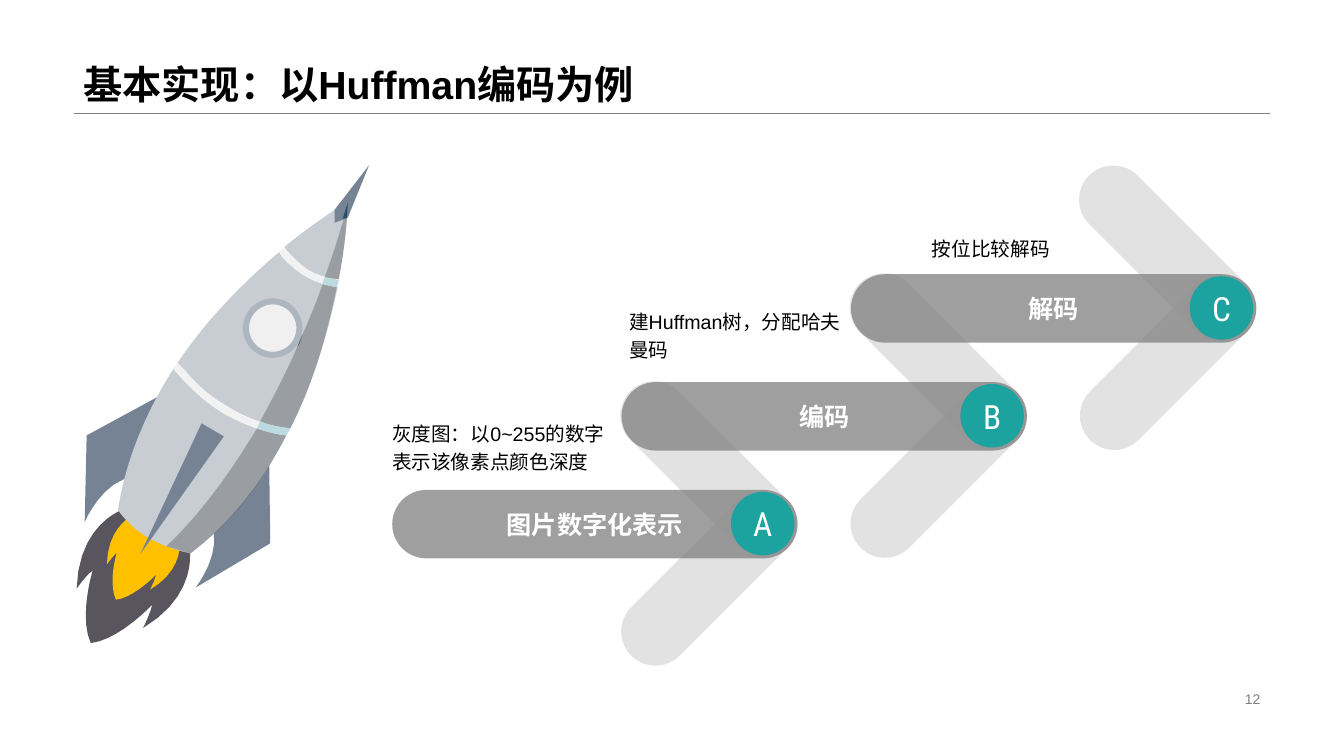
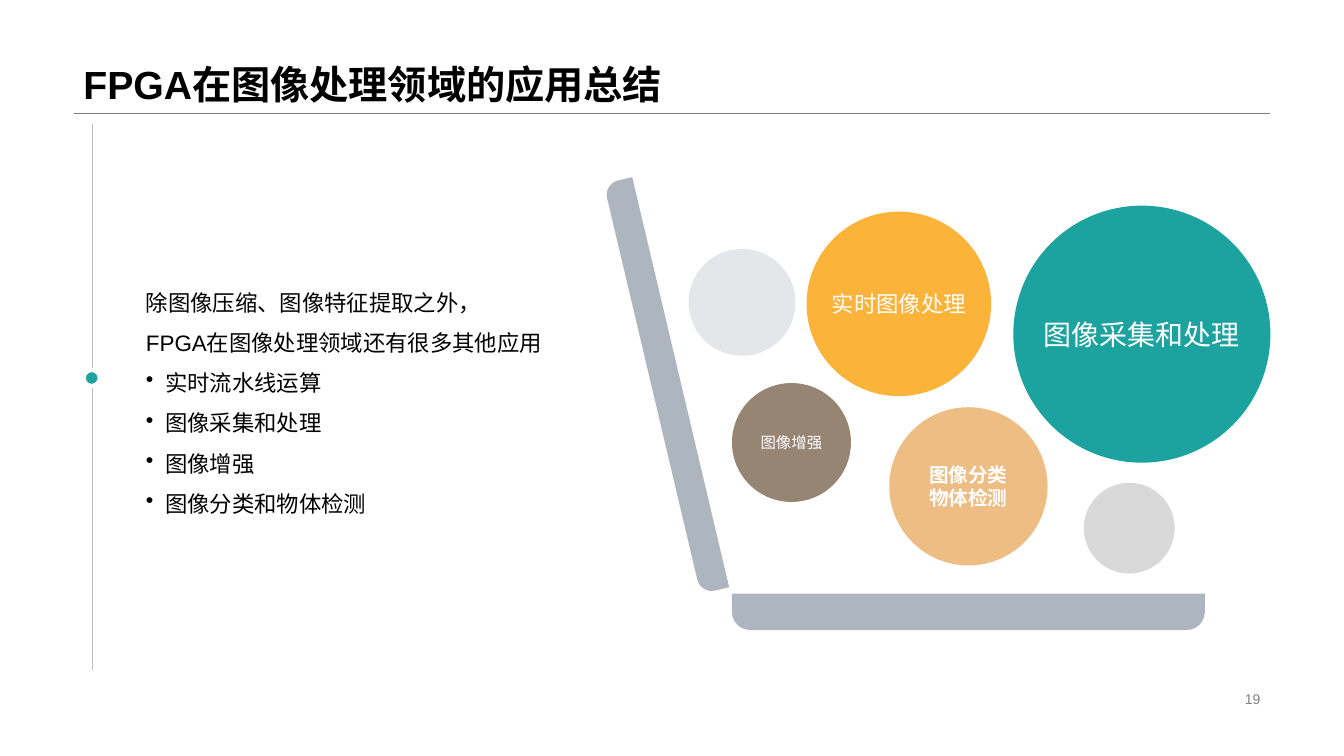
from lxml import etree
from pptx import Presentation
from pptx.dml.color import RGBColor
from pptx.enum.shapes import MSO_CONNECTOR, MSO_SHAPE as Preset
from pptx.enum.text import MSO_ANCHOR as Anchor, PP_ALIGN as Align
from pptx.oxml.ns import qn
from pptx.util import Inches, Pt

# Colours
BLACK = RGBColor(0x00, 0x00, 0x00)
WHITE = RGBColor(0xFF, 0xFF, 0xFF)
GRAY = RGBColor(0x80, 0x80, 0x80)
SILVER = RGBColor(0xBF, 0xBF, 0xBF)
LIGHT_GRAY = RGBColor(0xD9, 0xD9, 0xD9)
MIST = RGBColor(0xE4, 0xE6, 0xEA)
TEAL = RGBColor(0x1C, 0xA3, 0x9F)
ORANGE = RGBColor(0xFC, 0xB3, 0x3A)
SAND = RGBColor(0xED, 0xBD, 0x84)
BROWN = RGBColor(0x96, 0x85, 0x73)
STEEL = RGBColor(0xAD, 0xB5, 0xBF)
SMOKE = RGBColor(0x58, 0x55, 0x5E)
FLAME = RGBColor(0xFF, 0xC0, 0x00)
SLATE = RGBColor(0x76, 0x83, 0x94)
HULL = RGBColor(0xC8, 0xCD, 0xD4)
BAND = RGBColor(0xF2, 0xF2, 0xF2)
GLASS = RGBColor(0xF0, 0xF0, 0xF0)
SHADE = RGBColor(0x3C, 0x3C, 0x3C)
ICE = RGBColor(0xBC, 0xDB, 0xE0)
NAVY = RGBColor(0x26, 0x4D, 0x62)

SANS, CJK, NARROW = "Arial", "Noto Sans CJK SC", "Roboto Condensed"

# Rocket outlines: colour, opacity, then points; six numbers make a Bezier curve
ROCKET_TAIL = [
    (SMOKE, 100, [(1.88, 5.45), (1.64, 5.1), (1.21, 5.06),
                  (1.21, 5.06, 0.78, 5.2, 0.76, 5.84), (0.76, 5.84, 0.85, 5.71, 0.92, 5.66),
                  (0.92, 5.66, 0.78, 6.11, 0.9, 6.38), (1.18, 6.35, 1.51, 6, 1.51, 6),
                  (1.49, 6.09, 1.42, 6.23, 1.42, 6.23), (1.97, 5.9, 1.88, 5.45, 1.88, 5.45)]),
    (FLAME, 100, [(1.63, 5.13), (1.36, 5.09), (1.36, 5.09, 1.07, 5.19, 1.06, 5.6),
                  (1.06, 5.6, 1.12, 5.52, 1.16, 5.48), (1.16, 5.48, 1.07, 5.77, 1.15, 5.95),
                  (1.33, 5.93, 1.55, 5.7, 1.55, 5.7), (1.53, 5.77, 1.49, 5.85, 1.49, 5.85),
                  (1.84, 5.64, 1.78, 5.35, 1.78, 5.35)]),
    (SLATE, 100, [(2.67, 4.6), (2.68, 5.39), (1.94, 5.83),
                  (1.94, 5.83, 2.39, 5.26, 1.89, 4.97), (2.25, 4.35)]),
    (SLATE, 100, [(1.56, 3.94), (0.86, 4.32), (0.84, 5.18),
                  (0.84, 5.18, 1.12, 4.51, 1.61, 4.8), (1.97, 4.18)]),
]
ROCKET_HULL = [
    (HULL, 100, [(2.27, 4.04), (2.43, 4.14, 2.63, 4.22, 2.88, 4.25),
                 (3.13, 3.76, 3.26, 3.25, 3.35, 2.85), (3.22, 2.83, 3.11, 2.79, 3.03, 2.74),
                 (2.92, 2.68, 2.85, 2.6, 2.79, 2.54), (2.77, 2.5),
                 (2.45, 2.77, 2.07, 3.14, 1.76, 3.6), (1.84, 3.68),
                 (1.93, 3.79, 2.07, 3.93, 2.27, 4.04)]),
    (HULL, 100, [(3.06, 2.68), (3.15, 2.73, 3.24, 2.76, 3.36, 2.77),
                 (3.45, 2.32, 3.45, 2, 3.45, 2), (3.45, 2, 3.18, 2.16, 2.82, 2.45),
                 (2.85, 2.49), (2.9, 2.55, 2.97, 2.62, 3.06, 2.68)]),
    (HULL, 100, [(2.23, 4.11), (2.03, 3.99, 1.88, 3.84, 1.78, 3.73), (1.72, 3.66),
                 (1.46, 4.07, 1.25, 4.54, 1.17, 5.06), (1.17, 5.06, 1.28, 5.23, 1.48, 5.34),
                 (1.67, 5.45, 1.89, 5.49, 1.89, 5.49), (2.31, 5.17, 2.62, 4.75, 2.84, 4.32),
                 (2.6, 4.29, 2.4, 4.2, 2.23, 4.11)]),
    (BAND, 100, [(3.03, 2.74), (3.11, 2.79, 3.22, 2.83, 3.35, 2.85), (3.36, 2.77),
                 (3.24, 2.76, 3.15, 2.73, 3.06, 2.68), (2.97, 2.62, 2.9, 2.55, 2.85, 2.49),
                 (2.82, 2.46), (2.77, 2.5), (2.79, 2.54),
                 (2.85, 2.6, 2.92, 2.68, 3.03, 2.74)]),
    (BAND, 100, [(2.23, 4.11), (2.4, 4.2, 2.6, 4.29, 2.84, 4.32), (2.88, 4.25),
                 (2.63, 4.22, 2.43, 4.14, 2.27, 4.04), (2.07, 3.93, 1.93, 3.79, 1.84, 3.68),
                 (1.76, 3.6), (1.72, 3.66), (1.78, 3.73),
                 (1.88, 3.84, 2.03, 3.99, 2.23, 4.11)]),
    (SLATE, 100, [(2, 4.2), (2.22, 4.33), (1.39, 5.5)]),
    (SLATE, 100, [(3.66, 1.64), (3.32, 2.08), (3.32, 2.21), (3.45, 2.16)]),
]
ROCKET_SHADE = [
    (SHADE, 32, [(3.2, 2.82), (3.15, 2.97, 3.08, 3.14, 3, 3.32), (2.95, 3.44),
                 (2.85, 3.67, 2.72, 3.93, 2.58, 4.18), (2.67, 4.22, 2.77, 4.24, 2.88, 4.25),
                 (3.13, 3.76, 3.26, 3.25, 3.34, 2.85)]),
    (SHADE, 32, [(3.44, 2.16), (3.41, 2.17), (3.37, 2.3, 3.31, 2.51, 3.22, 2.75),
                 (3.26, 2.76, 3.31, 2.77, 3.36, 2.77), (3.41, 2.51, 3.43, 2.29, 3.44, 2.16)]),
    (SHADE, 32, [(2.55, 4.25), (2.3, 4.66, 2.01, 5.08, 1.65, 5.42), (1.89, 5.49),
                 (2.34, 5.15, 2.6, 4.78, 2.84, 4.32), (2.73, 4.31, 2.64, 4.28, 2.55, 4.25)]),
    (ICE, 100, [(3.22, 2.75), (3.2, 2.82), (3.34, 2.85), (3.36, 2.78)]),
    (ICE, 100, [(2.58, 4.18), (2.55, 4.25), (2.64, 4.28, 2.73, 4.31, 2.84, 4.32),
                (2.88, 4.25), (2.77, 4.24, 2.67, 4.22, 2.58, 4.18)]),
    (NAVY, 100, [(3.45, 2.01), (3.4, 2.17), (3.44, 2.16)]),
    (NAVY, 100, [(3, 3.32), (2.95, 3.44), (2.97, 3.41)]),
]


def flatten(outline, steps=10):
    """Turn an outline with Bezier curves into a list of points."""
    points = [outline[0]]
    for segment in outline[1:]:
        if len(segment) == 2:
            points.append(segment)
            continue
        x0, y0 = points[-1]
        x1, y1, x2, y2, x3, y3 = segment
        for step in range(1, steps + 1):
            t = step / steps
            a, b, c, d = (1 - t) ** 3, 3 * t * (1 - t) ** 2, 3 * t * t * (1 - t), t ** 3
            points.append((a * x0 + b * x1 + c * x2 + d * x3,
                           a * y0 + b * y1 + c * y2 + d * y3))
    return [(Inches(x), Inches(y)) for x, y in points]


class Deck:
    def __init__(self):
        self.deck = Presentation()
        self.deck.slide_width, self.deck.slide_height = Inches(13.33), Inches(7.5)
        self.page = None

    def new_page(self, title, number):
        self.page = self.deck.slides.add_slide(self.deck.slide_layouts[6])
        self.line(0.73, 1.12, 12.6, 1.12, GRAY)
        self.text(0.73, 0, 11.87, 1.12, [title], 28, bold=True, anchor=Anchor.BOTTOM, spacing=0.9)
        self.text(9.42, 6.82, 3.18, 0.23, [number], 10, GRAY, align=Align.RIGHT)

    def line(self, x1, y1, x2, y2, color):
        line = self.page.shapes.add_connector(
            MSO_CONNECTOR.STRAIGHT, Inches(x1), Inches(y1), Inches(x2), Inches(y2))
        line.line.color.rgb = color
        line.line.width = Pt(0.25)
        etree.SubElement(line._element.spPr, qn("a:effectLst"))

    def paint(self, shape, color, opacity=100, border=None, border_width=0):
        shape.shadow.inherit = False
        shape.fill.solid()
        shape.fill.fore_color.rgb = color
        if opacity < 100:
            tint = next(shape._element.spPr.iter(qn("a:srgbClr")))
            etree.SubElement(tint, qn("a:alpha"), val=str(opacity * 1000))
        if border is None:
            shape.line.fill.background()
        else:
            shape.line.color.rgb = border
            shape.line.width = Pt(border_width)

    def shape(self, preset, x, y, width, height, color, adjust=(), turn=0, **paint):
        shape = self.page.shapes.add_shape(
            preset, Inches(x), Inches(y), Inches(width), Inches(height))
        for index, value in enumerate(adjust):
            shape.adjustments[index] = value
        shape.rotation = turn
        self.paint(shape, color, **paint)
        return shape

    def circle(self, x, y, size, color, **paint):
        return self.shape(Preset.OVAL, x, y, size, size, color, **paint)

    def pill(self, x, y, width, color, turn=0):
        return self.shape(Preset.ROUNDED_RECTANGLE, x, y, width, 0.68, color,
                          adjust=[0.5], turn=turn, opacity=75)

    def outline(self, color, opacity, outline):
        points = flatten(outline)
        builder = self.page.shapes.build_freeform(*points[0])
        builder.add_line_segments(points[1:], close=True)
        self.paint(builder.convert_to_shape(), color, opacity)

    def text(self, x, y, width, height, lines, size, color=BLACK, **style):
        box = self.page.shapes.add_textbox(Inches(x), Inches(y), Inches(width), Inches(height))
        self.label(box, lines, size, color, **style)

    def label(self, box, lines, size, color=WHITE, font=SANS, bold=False, align=Align.LEFT,
              anchor=Anchor.MIDDLE, spacing=1.0, wrap=True, bullets_from=None):
        frame = box.text_frame
        frame.word_wrap = wrap
        frame.vertical_anchor = anchor
        for index, line in enumerate(lines):
            para = frame.add_paragraph() if index else frame.paragraphs[0]
            para.alignment = align
            para.line_spacing = spacing
            if bullets_from is not None and index >= bullets_from:
                self.bullet(para)
            span = para.add_run()
            span.text = line
            span.font.name = font
            span.font.size = Pt(size)
            span.font.bold = bold
            span.font.color.rgb = color
            etree.SubElement(span.font._element, qn("a:ea"), typeface=SANS)

    def bullet(self, para):
        settings = para._p.get_or_add_pPr()
        settings.set("marL", str(Inches(0.19)))
        settings.set("indent", str(-Inches(0.19)))
        etree.SubElement(settings, qn("a:buChar"), char="•")


def huffman_page(deck):
    deck.new_page("基本实现：以Huffman编码为例", "12")

    # Rising steps: chevron, bar and letter badge
    for index, (letter, name) in enumerate(
            [("A", "图片数字化表示"), ("B", "编码"), ("C", "解码")]):
        x, y = 3.89 + 2.275 * index, 4.86 - 1.07 * index
        deck.pill(x + 2.04, y - 0.54, 2.2, LIGHT_GRAY, turn=45)
        deck.pill(x + 2.05, y + 0.53, 2.19, LIGHT_GRAY, turn=135)
        bar = deck.pill(x, y, 4.02, GRAY)
        deck.label(bar, [name], 18, bold=True, align=Align.CENTER)
        badge = deck.circle(x + 3.36, y + 0.02, 0.63, TEAL)
        deck.label(badge, [letter], 23.8, font=NARROW, align=Align.CENTER, wrap=False)

    # Captions
    for x, y, caption, align in [
            (3.79, 4.04, "灰度图：以0~255的数字表示该像素点颜色深度", Align.LEFT),
            (6.14, 2.93, "建Huffman树，分配哈夫曼码", Align.LEFT),
            (8.19, 2.07, "按位比较解码", Align.RIGHT)]:
        deck.text(x, y, 2.32, 0.75, [caption], 14, align=align, spacing=1.2)

    # Rocket with its porthole
    for part in ROCKET_TAIL + ROCKET_HULL:
        deck.outline(*part)
    deck.circle(2.44, 2.99, 0.53, GLASS, border=STEEL, border_width=4.3)
    for part in ROCKET_SHADE:
        deck.outline(*part)


def summary_page(deck):
    deck.new_page("FPGA在图像处理领域的应用总结", "19")

    # Open laptop
    for x, y, width, height, turn in [(7.26, 5.89, 4.69, 0.36, 180),
                                      (4.52, 3.68, 4.18, 0.29, 256.7)]:
        deck.shape(Preset.ROUND_2_SAME_RECTANGLE, x, y, width, height, STEEL,
                   adjust=[0.5, 0], turn=turn)

    # Application bubbles
    for x, y, size, color, lines, points, font, bold in [
            (7.26, 3.8, 1.18, BROWN, ["图像增强"], 11, SANS, False),
            (8.82, 4.04, 1.57, SAND, ["图像分类", "物体检测"], 14, CJK, True),
            (8, 2.1, 1.83, ORANGE, ["实时图像处理"], 16, CJK, False),
            (10.05, 2.04, 2.55, TEAL, ["图像采集和处理"], 20, SANS, False)]:
        bubble = deck.circle(x, y, size, color)
        deck.label(bubble, lines, points, font=font, bold=bold, align=Align.CENTER, wrap=False)
    deck.circle(10.75, 4.79, 0.9, LIGHT_GRAY)
    deck.circle(6.83, 2.47, 1.06, MIST)

    # Summary text beside its marked rule
    deck.line(0.91, 1.23, 0.91, 6.65, SILVER)
    deck.text(1.35, 1.86, 4.2, 4.14,
              ["除图像压缩、图像特征提取之外，", "FPGA在图像处理领域还有很多其他应用",
               "实时流水线运算", "图像采集和处理", "图像增强", "图像分类和物体检测"],
              16, spacing=1.5, bullets_from=2)
    deck.circle(0.83, 3.67, 0.16, TEAL, border=WHITE, border_width=3)


def main():
    deck = Deck()
    huffman_page(deck)
    summary_page(deck)
    deck.deck.save("out.pptx")


if __name__ == "__main__":
    main()
